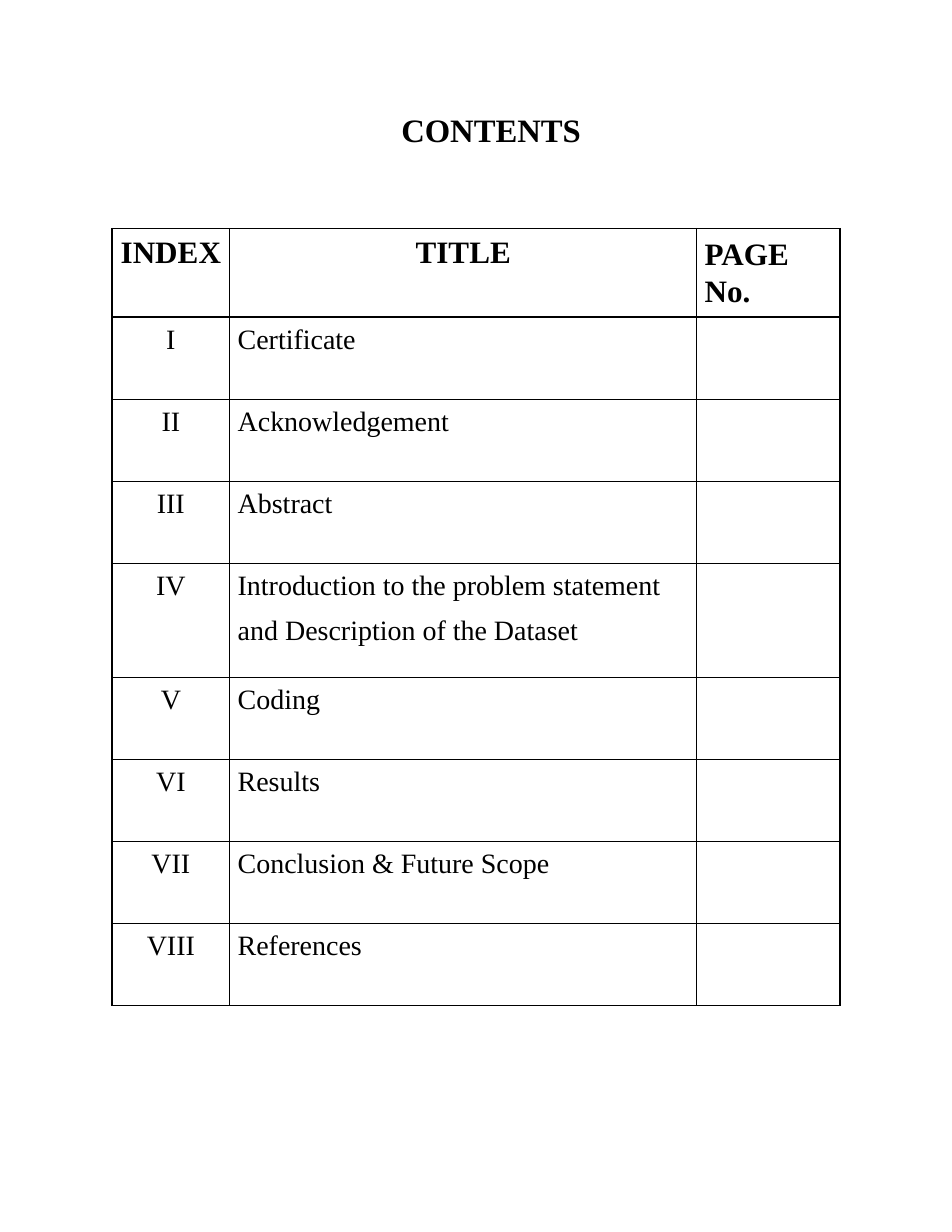
from lxml import etree
from pptx import Presentation
from pptx.dml.color import RGBColor
from pptx.enum.text import MSO_ANCHOR, PP_ALIGN
from pptx.oxml.ns import qn
from pptx.util import Cm, Pt

BLACK = RGBColor(0x00, 0x00, 0x00)
FONT = "Times New Roman"
LEFT, CENTER = PP_ALIGN.LEFT, PP_ALIGN.CENTER
TOP = MSO_ANCHOR.TOP
TITLE_ONLY = 5

HEADER = ["INDEX", "TITLE", "PAGE\nNo."]
ENTRIES = [
    ("I", "Certificate"),
    ("II", "Acknowledgement"),
    ("III", "Abstract"),
    ("IV", "Introduction to the problem statement\nand Description of the Dataset"),
    ("V", "Coding"),
    ("VI", "Results"),
    ("VII", "Conclusion & Future Scope"),
    ("VIII", "References"),
]
COLUMN_WIDTHS = [2.67, 10.59, 3.25]
HEADER_HEIGHT, ENTRY_HEIGHT, TWO_LINE_HEIGHT = 2.01, 1.86, 2.59


class ContentsPage:
    def __init__(self, slide):
        self.slide = slide

    def format_text(self, tf, size, bold, align):
        for p in tf.paragraphs:
            p.alignment = align
            for r in p.runs:
                r.font.name = FONT
                r.font.size = Pt(size)
                r.font.bold = bold
                r.font.color.rgb = BLACK

    def title(self, text, left, top, width, height):
        sp = self.slide.shapes.title
        sp.left, sp.top, sp.width, sp.height = Cm(left), Cm(top), Cm(width), Cm(height)
        tf = sp.text_frame
        tf.text = text
        tf.word_wrap = True
        tf.vertical_anchor = TOP
        tf.margin_left = tf.margin_top = Cm(0.03)
        tf.margin_right = tf.margin_bottom = 0
        self.format_text(tf, 21, True, LEFT)

    def border(self, cell):
        tcPr = cell._tc.get_or_add_tcPr()
        for side in ("a:lnL", "a:lnR", "a:lnT", "a:lnB"):
            ln = etree.SubElement(tcPr, qn(side), w=str(Pt(0.75)))
            fill = etree.SubElement(ln, qn("a:solidFill"))
            etree.SubElement(fill, qn("a:srgbClr"), val=str(BLACK))

    def cell(self, cell, text, size, bold, align):
        cell.margin_left = Cm(0.18) if align == LEFT else 0
        cell.margin_right = cell.margin_bottom = 0
        cell.margin_top = Pt(4.7)
        cell.vertical_anchor = TOP
        self.border(cell)
        cell.fill.background()
        if text:
            cell.text_frame.text = text
            self.format_text(cell.text_frame, size, bold, align)

    def table(self, left, top):
        heights = [HEADER_HEIGHT] + [
            TWO_LINE_HEIGHT if "\n" in title else ENTRY_HEIGHT for _, title in ENTRIES
        ]
        table = self.slide.shapes.add_table(
            len(heights), len(COLUMN_WIDTHS), Cm(left), Cm(top),
            Cm(sum(COLUMN_WIDTHS)), Cm(sum(heights)),
        ).table
        table.first_row = table.horz_banding = False
        for column, width in zip(table.columns, COLUMN_WIDTHS):
            column.width = Cm(width)
        for row, height in zip(table.rows, heights):
            row.height = Cm(height)
        for i, (text, align) in enumerate(zip(HEADER, (CENTER, CENTER, LEFT))):
            self.cell(table.cell(0, i), text, 20, True, align)
        for p in table.cell(0, 2).text_frame.paragraphs:
            p.line_spacing = Pt(23.5)
        for i, (index, title) in enumerate(ENTRIES, 1):
            self.cell(table.cell(i, 0), index, 18, False, CENTER)
            self.cell(table.cell(i, 1), title, 18, False, LEFT)
            self.cell(table.cell(i, 2), "", 18, False, LEFT)
            for p in table.cell(i, 1).text_frame.paragraphs[1:]:
                p.space_before = Pt(9.4)


def main():
    prs = Presentation()
    prs.slide_width, prs.slide_height = Cm(21.59), Cm(27.94)
    page = ContentsPage(prs.slides.add_slide(prs.slide_layouts[TITLE_ONLY]))
    page.title("CONTENTS", 9.07, 2.46, 4.14, 0.97)
    page.table(2.54, 5.18)
    prs.save("out.pptx")


if __name__ == "__main__":
    main()
